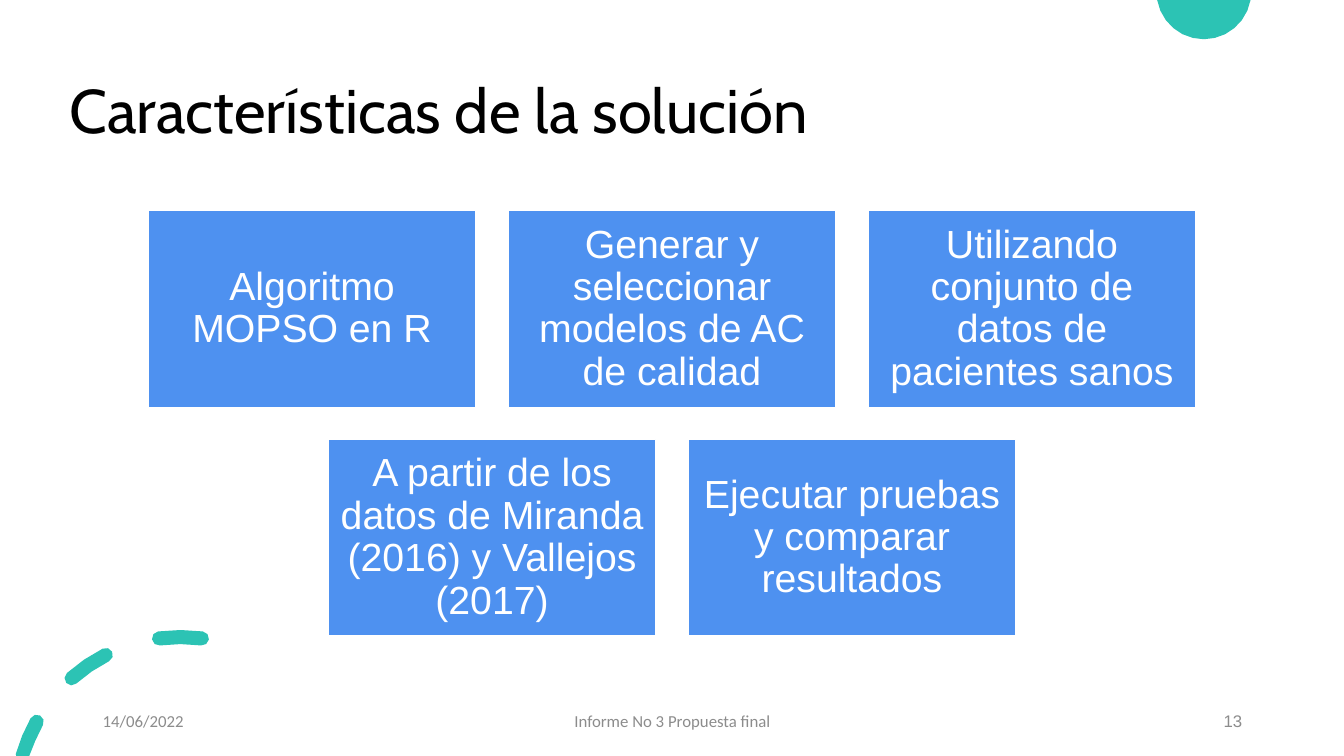
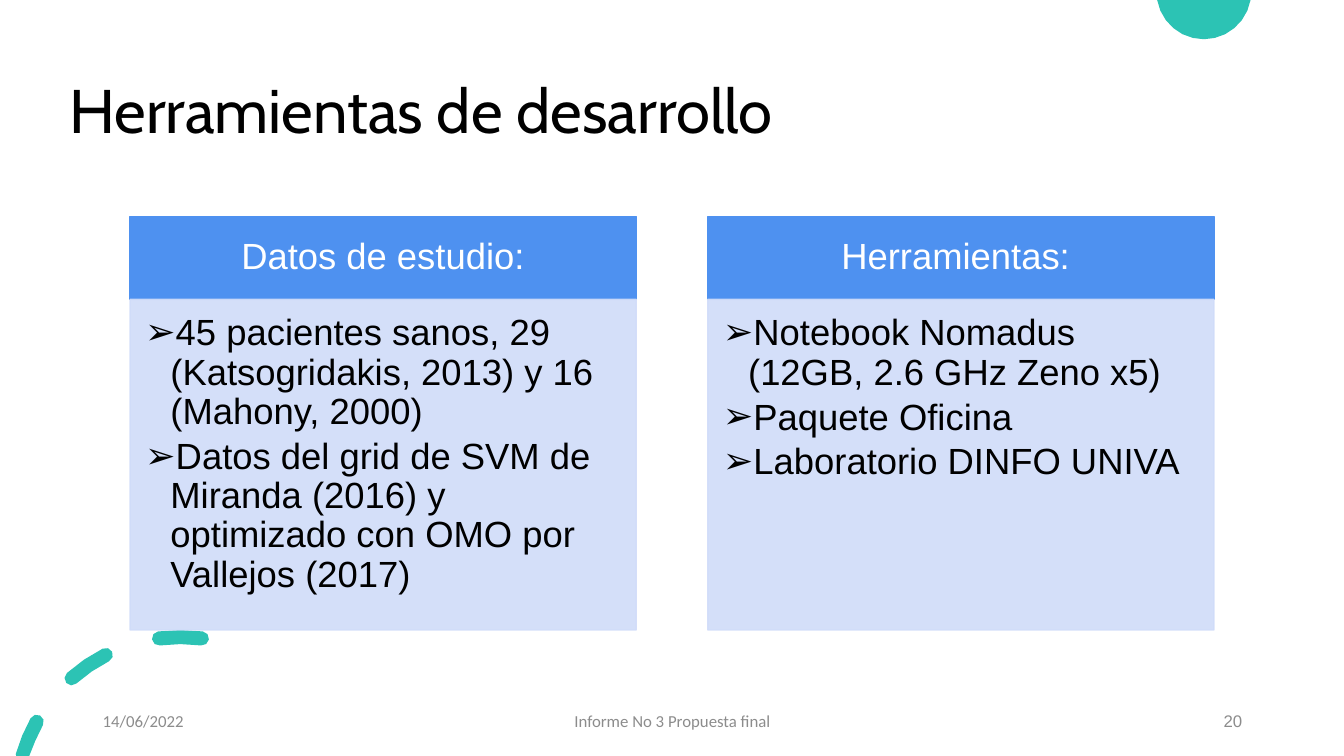
import math
from dataclasses import dataclass

from lxml import etree
from pptx import Presentation, util as u
from pptx.dml.color import RGBColor
from pptx.enum import shapes, text
from pptx.oxml import ns

ALIGN = text.PP_ALIGN
ANCHOR = text.MSO_ANCHOR
SLIDE_W, SLIDE_H = 13.33, 7.5


@dataclass(frozen=True)
class Theme:
    teal: str = "2CC3B4"
    blue: str = "4E91F0"
    pale: str = "D0DCF9"
    white: str = "FFFFFF"
    black: str = "000000"
    grey: str = "8C8C8C"
    title_font: str = "Cabin"
    body_font: str = "Arial"
    footer_font: str = "Calibri"
    title_size: int = 44
    card_size: int = 28
    column_size: int = 26
    footer_size: int = 12


def arc(cx, cy, radius, start, end, steps):
    """Points on an arc; angles in degrees, counter-clockwise from the top."""
    angles = [math.radians(start + (end - start) * i / steps) for i in range(steps + 1)]
    return [(cx - radius * math.sin(a), cy - radius * math.cos(a)) for a in angles]


def dash(cx, cy, radius, half, start, end):
    """Outline of a round-ended dash on a ring, cut at the slide's bottom."""
    (x1, y1), (x2, y2) = arc(cx, cy, radius, start, end, 1)
    outline = (arc(cx, cy, radius + half, start, end, 2)
               + arc(x2, y2, half, end, end + 180, 4)[1:-1]
               + arc(cx, cy, radius - half, end, start, 2)
               + arc(x1, y1, half, start + 180, start + 360, 4)[1:-1])
    return [(x, min(y, SLIDE_H)) for x, y in outline]


class Deck:
    def __init__(self, theme):
        self.t = theme
        self.prs = Presentation()
        self.prs.slide_width = u.Inches(SLIDE_W)
        self.prs.slide_height = u.Inches(SLIDE_H)
        self.s = None

    def slide(self, title, number):
        """Start a slide with the shared decoration, title and footer."""
        t = self.t
        self.s = self.prs.slides.add_slide(self.prs.slide_layouts[6])
        self.outline([arc(11.94, -0.08, 0.47, 100, 260, 12)])
        self.outline([dash(1.79, 7.95, 1.63, 0.07, a, b)
                      for a, b in ((-7.5, 7.5), (27, 41.5), (61, 74))])
        self.text_box((0.59, 0.4, 11.5, 1.45), title, t.title_size, t.title_font,
                      t.black, spacing=0.9)
        for left, width, words, font, align in (
                (0.92, 3, "14/06/2022", t.footer_font, ALIGN.LEFT),
                (4.42, 4.5, "Informe No 3 Propuesta final", t.footer_font, ALIGN.CENTER),
                (9.42, 3, number, t.body_font, ALIGN.RIGHT)):
            self.text_box((left, 6.95, width, 0.4), words, t.footer_size, font,
                          t.grey, align)

    def outline(self, contours):
        """One teal freeform made of closed contours."""
        paths = [[(u.Inches(x), u.Inches(y)) for x, y in c] for c in contours]
        fb = self.s.shapes.build_freeform(*paths[0][0])
        fb.add_line_segments(paths[0][1:])
        for path in paths[1:]:
            fb.move_to(*path[0])
            fb.add_line_segments(path[1:])
        sp = fb.convert_to_shape()
        sp.shadow.inherit = False
        self.fill(sp, self.t.teal)
        sp.line.fill.background()

    def fill(self, part, color, alpha=None):
        part.fill.solid()
        part.fill.fore_color.rgb = RGBColor.from_string(color)
        if alpha:
            clr = part.fill._xPr.find(ns.qn("a:solidFill"))[0]
            etree.SubElement(clr, ns.qn("a:alpha")).set("val", str(alpha * 1000))

    def text_box(self, at, words, size, font, color, align=ALIGN.LEFT, spacing=1.0):
        sp = self.s.shapes.add_textbox(*map(u.Inches, at))
        self.frame(sp, (0.1, 0.05, 0.1, 0.05), ANCHOR.MIDDLE)
        self.paragraph(sp.text_frame.paragraphs[0], words, size, font, color, align, spacing)

    def rect(self, at, color, line, insets, anchor=ANCHOR.MIDDLE, alpha=None):
        sp = self.s.shapes.add_shape(shapes.MSO_SHAPE.RECTANGLE, *map(u.Inches, at))
        sp.shadow.inherit = False
        self.fill(sp, color, alpha)
        sp.line.width = u.Pt(1)
        self.fill(sp.line, line, alpha)
        self.frame(sp, insets, anchor)
        return sp.text_frame

    def frame(self, sp, insets, anchor):
        tf = sp.text_frame
        tf.word_wrap = True
        tf.vertical_anchor = anchor
        (tf.margin_left, tf.margin_top,
         tf.margin_right, tf.margin_bottom) = map(u.Inches, insets)

    def paragraph(self, p, words, size, font, color, align, spacing=0.9):
        p.alignment = align
        p.line_spacing = spacing
        r = p.add_run()
        r.text = words
        r.font.size = u.Pt(size)
        r.font.name = font
        r.font.color.rgb = RGBColor.from_string(color)

    def bullet(self, p, indent=0.25):
        p.space_after = u.Pt(4)
        pPr = p._p.get_or_add_pPr()
        pPr.set("marL", str(u.Inches(indent)))
        pPr.set("indent", str(-u.Inches(indent)))
        etree.SubElement(pPr, ns.qn("a:buFont")).set("typeface", self.t.body_font)
        etree.SubElement(pPr, ns.qn("a:buChar")).set("char", "➢")

    def cards(self, rows, top=2.09, width=3.24, height=1.95, gap_x=0.33, gap_y=0.32):
        """Rows of equal cards, each row centred on the slide."""
        t = self.t
        for i, row in enumerate(rows):
            left = (SLIDE_W + gap_x - len(row) * (width + gap_x)) / 2
            for j, words in enumerate(row):
                at = (left + j * (width + gap_x), top + i * (height + gap_y), width, height)
                tf = self.rect(at, t.blue, t.white, (0.1, 0.12, 0.1, 0.12))
                self.paragraph(tf.paragraphs[0], words, t.card_size, t.body_font,
                               t.white, ALIGN.CENTER)

    def column(self, left, heading, items, top=2.15, width=5.02, head=0.82, body=3.28):
        """A heading band over a pale panel of bulleted items."""
        t = self.t
        tf = self.rect((left, top, width, head), t.blue, t.blue, (0.2, 0.12, 0.2, 0.12))
        self.paragraph(tf.paragraphs[0], heading, t.column_size, t.body_font,
                       t.white, ALIGN.CENTER)
        tf = self.rect((left, top + head, width, body), t.pale, t.pale,
                       (0.15, 0.15, 0.2, 0.23), ANCHOR.TOP, alpha=90)
        for i, words in enumerate(items):
            p = tf.add_paragraph() if i else tf.paragraphs[0]
            self.paragraph(p, words, t.column_size, t.body_font, t.black, ALIGN.LEFT)
            self.bullet(p)


def main():
    deck = Deck(Theme())

    deck.slide("Características de la solución", "13")
    deck.cards([
        ["Algoritmo MOPSO en R",
         "Generar y seleccionar modelos de AC de calidad",
         "Utilizando conjunto de datos de pacientes sanos"],
        ["A partir de los datos de Miranda (2016) y Vallejos (2017)",
         "Ejecutar pruebas y comparar resultados"],
    ])

    deck.slide("Herramientas de desarrollo", "20")
    deck.column(1.29, "Datos de estudio:", [
        "45 pacientes sanos, 29 (Katsogridakis, 2013) y 16 (Mahony, 2000)",
        "Datos del grid de SVM de Miranda (2016) y optimizado con OMO por Vallejos (2017)",
    ])
    deck.column(7.02, "Herramientas: ", [
        "Notebook Nomadus (12GB, 2.6 GHz Zeno x5)",
        "Paquete Oficina",
        "Laboratorio DINFO UNIVA",
    ])

    deck.prs.save("out.pptx")


if __name__ == "__main__":
    main()
